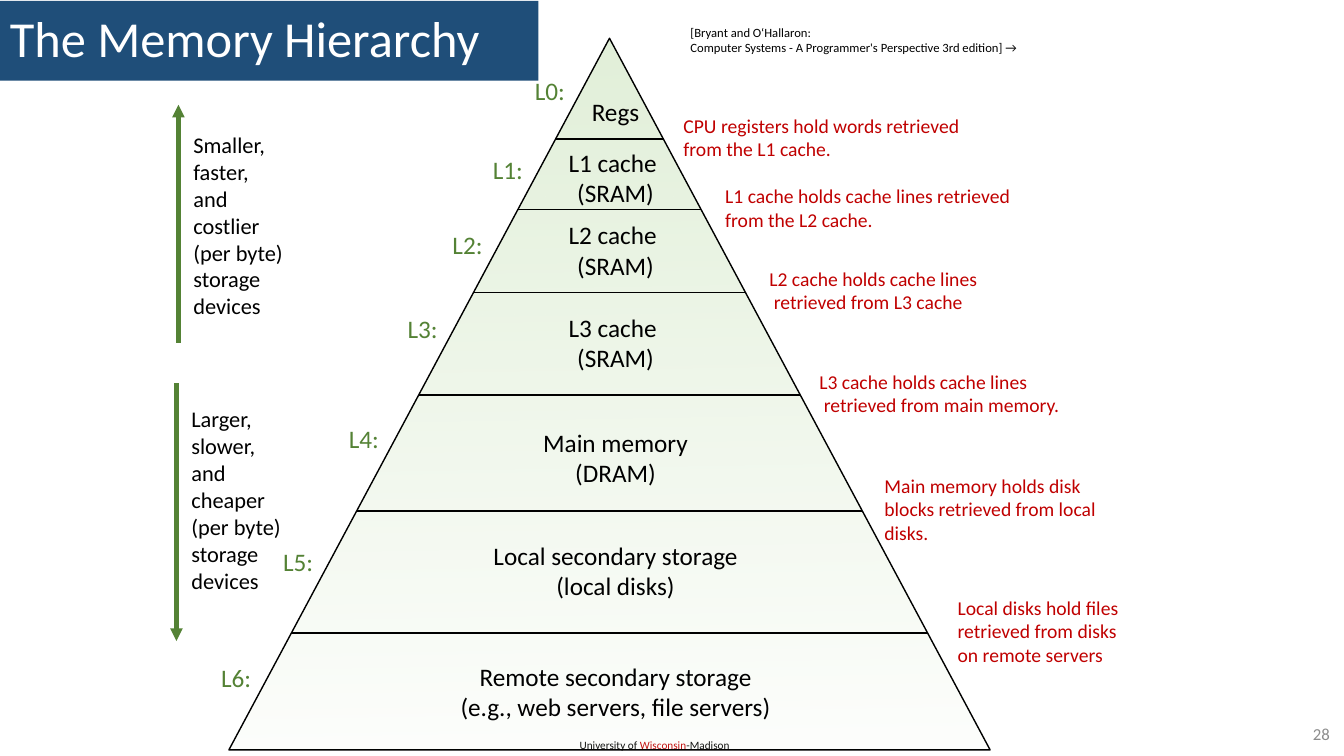
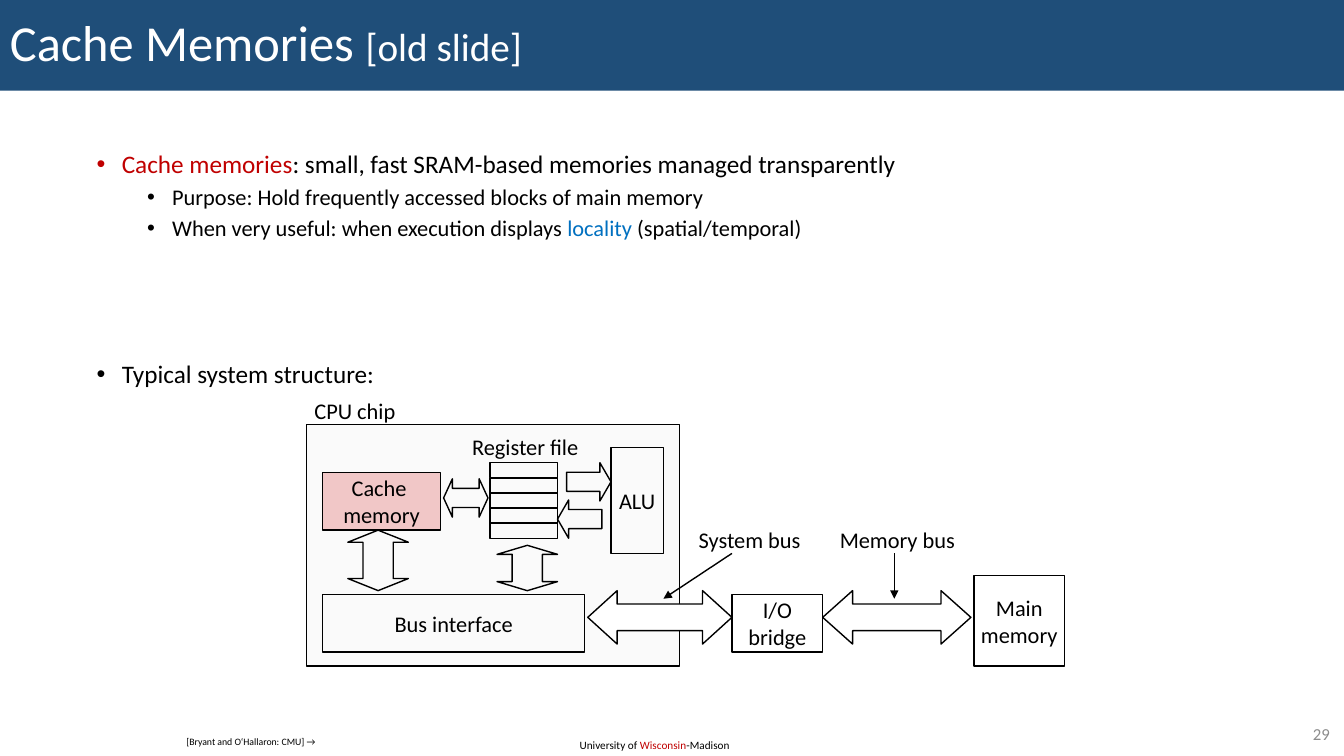
from dataclasses import dataclass

from lxml.etree import SubElement
from pptx import Presentation
from pptx.dml.color import RGBColor
from pptx.enum.shapes import MSO_CONNECTOR, MSO_SHAPE
from pptx.enum.text import MSO_ANCHOR, PP_ALIGN
from pptx.oxml.ns import qn
from pptx.util import Inches, Pt


@dataclass(frozen=True)
class Theme:
    font: str = "Calibri"
    band: str = "1F4E79"
    black: str = "000000"
    white: str = "FFFFFF"
    red: str = "C00000"
    green: str = "548235"
    pale_green: str = "E2F0D9"
    blue: str = "0070C0"
    gray: str = "8C8C8C"
    chip: str = "FAFAFA"
    pink: str = "F1C7C7"
    title: int = 36
    subtitle: int = 28
    large: int = 18
    medium: int = 16
    note: int = 14
    number: int = 12
    source: int = 9
    footer: int = 8
    small_source: int = 7


@dataclass(frozen=True)
class Box:
    left: float
    top: float
    width: float
    height: float

    def inner(self, x, y, width, height):
        return Box(self.left + x, self.top + y, width, height)

    def inches(self):
        return [Inches(n) for n in (self.left, self.top, self.width, self.height)]


@dataclass(frozen=True)
class Level:
    floor: float
    label_y: float
    name_y: float
    name: tuple
    note: tuple = ()
    note_gap: float = 0
    note_width: float = 0


THEME = Theme()
WIDTH, HEIGHT = 13.33, 7.5

LEVELS = [
    Level(1.0, 0.52, 0.73, ("Regs",),
          ("CPU registers hold words retrieved from the L1 cache.",), 0.1, 3.19),
    Level(1.7, 1.3, 1.38, ("L1 cache ", "(SRAM)"),
          ("L1 cache holds cache lines retrieved from the L2 cache.",), 0.14, 3.1),
    Level(2.52, 2.05, 2.1, ("L2 cache ", "(SRAM)"),
          ("L2 cache holds cache lines", " retrieved from L3 cache"), 0.14, 2.88),
    Level(3.54, 2.88, 3.02, ("L3 cache ", "(SRAM)"),
          ("L3 cache holds cache lines", " retrieved from main memory."), 0.09, 3.15),
    Level(4.69, 3.97, 4.16, ("Main memory", "(DRAM)"),
          ("Main memory holds disk blocks retrieved from local disks.",), 0.12, 2.39),
    Level(5.9, 5.19, 5.28, ("Local secondary storage", "(local disks)"),
          ("Local disks hold files retrieved from disks", "on remote servers"), 0.2, 2.26),
    Level(7.06, 6.34, 6.48,
          ("Remote secondary storage", "(e.g., web servers, file servers)")),
]


def rgb(color):
    return RGBColor.from_string(color)


def style(run, size, color):
    run.font.name = THEME.font
    run.font.size = Pt(size)
    run.font.color.rgb = rgb(color)


def fill_paragraph(paragraph, content, size, color):
    if isinstance(content, str):
        paragraph.text = content
        style(paragraph.runs[0], size, color)
        return
    for text, run_size, run_color in content:
        run = paragraph.add_run()
        run.text = text
        style(run, run_size, run_color)


def write(shape, lines, size, color=THEME.black, align=PP_ALIGN.LEFT,
          anchor=MSO_ANCHOR.MIDDLE, wrap=False):
    frame = shape.text_frame
    frame.word_wrap = wrap
    frame.vertical_anchor = anchor
    for index, content in enumerate(lines):
        paragraph = frame.add_paragraph() if index else frame.paragraphs[0]
        paragraph.alignment = align
        fill_paragraph(paragraph, content, size, color)
    return frame


def add_text(slide, box, lines, size, **options):
    return write(slide.shapes.add_textbox(*box.inches()), lines, size, **options)


def add_block(slide, box, kind=MSO_SHAPE.RECTANGLE, fill=None, line=THEME.black,
              adjustments=()):
    block = slide.shapes.add_shape(kind, *box.inches())
    block.shadow.inherit = False
    if fill:
        block.fill.solid()
        block.fill.fore_color.rgb = rgb(fill)
    else:
        block.fill.background()
    if line:
        block.line.color.rgb = rgb(line)
        block.line.width = Pt(1)
    else:
        block.line.fill.background()
    for index, value in enumerate(adjustments):
        block.adjustments[index] = value
    return block


def add_line(slide, box, start, end, color=THEME.black, width=1, arrow=False):
    points = [Inches(n) for x, y in (start, end) for n in (box.left + x, box.top + y)]
    line = slide.shapes.add_connector(MSO_CONNECTOR.STRAIGHT, *points)
    line.line.color.rgb = rgb(color)
    line.line.width = Pt(width)
    properties = line.element.spPr
    if arrow:
        SubElement(properties.find(qn("a:ln")), qn("a:tailEnd"), type="triangle")
    SubElement(properties, qn("a:effectLst"))


def add_bullet(paragraph, indent):
    properties = paragraph._p.get_or_add_pPr()
    properties.set("marL", str(Inches(indent)))
    properties.set("indent", str(Inches(-0.25)))
    SubElement(properties, qn("a:buFont"), typeface="Arial")
    SubElement(properties, qn("a:buChar"), char="•")


def add_slide(deck, band, title, number):
    slide = deck.slides.add_slide(deck.slide_layouts[6])
    add_text(slide, Box(5.65, 7.28, 1.72, 0.24),
             [[("University of ", THEME.footer, THEME.black),
               ("Wisconsin", THEME.footer, THEME.red),
               ("-Madison", THEME.footer, THEME.black)]],
             THEME.footer, anchor=MSO_ANCHOR.TOP, wrap=True)
    heading = write(add_block(slide, band, fill=THEME.band, line=None), [title],
                    THEME.title, color=THEME.white, wrap=True)
    heading.paragraphs[0].line_spacing = 0.9
    add_text(slide, Box(12.53, 7.13, 0.76, 0.29), [str(number)], THEME.number,
             color=THEME.gray, align=PP_ALIGN.RIGHT, wrap=True)
    return slide


def add_source(slide, box, lines, size):
    write(add_block(slide, box, fill=THEME.white, line=None), lines, size,
          anchor=MSO_ANCHOR.TOP, wrap=True)


def add_pyramid(slide, box):
    pyramid = add_block(slide, box, MSO_SHAPE.ISOSCELES_TRIANGLE)
    pyramid.fill.gradient()
    pyramid.fill.gradient_angle = 91
    for stop in pyramid.fill.gradient_stops:
        stop.color.rgb = rgb(THEME.pale_green)
    base_color = next(pyramid.element.spPr.iter(qn("a:srgbClr")))
    SubElement(base_color, qn("a:alpha"), val="7000")

    middle = box.width / 2
    slope = middle / box.height
    for index, level in enumerate(LEVELS):
        half = level.floor * slope
        if level.note:
            add_line(slide, box, (middle - half, level.floor), (middle + half, level.floor))
            height = 0.81 if index > 3 else 0.57
            note = box.inner(middle + half + level.note_gap, level.floor - 0.02 - height / 2,
                             level.note_width, height)
            add_text(slide, note, level.note, THEME.note, color=THEME.red, wrap=True)
        name_height = 0.4 if len(level.name) == 1 else 0.71
        add_text(slide, box.inner(middle - 1.6, level.name_y - name_height / 2, 3.32, name_height),
                 level.name, THEME.large, align=PP_ALIGN.CENTER)
        label_left = middle - level.label_y * slope - 0.56
        add_text(slide, box.inner(label_left, level.label_y - 0.2, 0.51, 0.4),
                 [f"L{index}:"], THEME.large, color=THEME.green)


def add_trend(slide, box, words, text_top, start, end):
    add_line(slide, box, (0, start), (0, end), THEME.green, 3, arrow=True)
    add_text(slide, box.inner(0.05, text_top, 1.1, 1.99), words, THEME.medium)


def build_hierarchy(deck):
    slide = add_slide(deck, Box(0, 0.01, 5.34, 0.79), "The Memory Hierarchy", 28)
    add_pyramid(slide, Box(2.27, 0.38, 7.55, 7.06))
    shared = ["and", "(per byte)", "storage", "devices"]
    add_trend(slide, Box(1.77, 1.04, 1.15, 2.36),
              ["Smaller,", "faster,", shared[0], "costlier", *shared[1:]], 0.2, 2.36, 0)
    add_trend(slide, Box(1.75, 3.8, 1.15, 2.56),
              ["Larger,", "slower,", shared[0], "cheaper", *shared[1:]], 0.16, 0, 2.56)
    add_source(slide, Box(6.75, 0.2, 3.48, 0.4),
               ["[Bryant and O‘Hallaron:",
                "Computer Systems - A Programmer's Perspective 3rd edition] →"], THEME.source)


def add_outline(slide, box):
    large, medium, black = THEME.large, THEME.medium, THEME.black
    items = [
        (0.25, 0, [("Cache memories", large, THEME.red),
                   (": small, fast SRAM-based memories managed transparently", large, black)]),
        (0.75, 5, [("Purpose: Hold frequently accessed blocks of main memory", medium, black)]),
        (0.75, 5, [("When very useful: when execution displays ", medium, black),
                   ("locality", medium, THEME.blue),
                   (" (spatial/temporal)", medium, black)]),
        (0.25, 86, [("Typical system structure:", large, black)]),
    ]
    frame = add_text(slide, box, [runs for _, _, runs in items], large,
                     anchor=MSO_ANCHOR.TOP, wrap=True)
    for paragraph, (indent, space, _) in zip(frame.paragraphs, items):
        paragraph.line_spacing = 0.9
        paragraph.space_before = Pt(space)
        add_bullet(paragraph, indent)


def add_upright_arrow(slide, box, head):
    turned = box.inner((box.width - box.height) / 2, (box.height - box.width) / 2,
                       box.height, box.width)
    arrow = add_block(slide, turned, MSO_SHAPE.LEFT_RIGHT_ARROW, adjustments=(0.5, head))
    arrow.rotation = 90


def add_system(slide, chip):
    add_block(slide, chip, fill=THEME.chip)
    units = [
        ((6.62, 1.5, 0.9, 0.9), ["Main", "memory"], None),
        ((4.22, 1.69, 0.9, 0.57), ["I/O", "bridge"], None),
        ((0.16, 1.69, 2.6, 0.57), ["Bus interface"], None),
        ((3.02, 0.23, 0.52, 1.05), ["ALU"], None),
        ((0.16, 0.48, 1.17, 0.57), ["Cache ", "memory"], THEME.pink),
    ]
    for place, lines, fill in units:
        write(add_block(slide, chip.inner(*place), fill=fill), lines, THEME.medium,
              align=PP_ALIGN.CENTER)
    for row in range(5):
        add_block(slide, chip.inner(1.82, 0.38 + row * 0.15, 0.67, 0.15))

    arrows = [
        (MSO_SHAPE.LEFT_RIGHT_ARROW, (5.12, 1.65, 1.47, 0.53), 0.56, None),
        (MSO_SHAPE.LEFT_RIGHT_ARROW, (2.79, 1.65, 1.43, 0.53), 0.55, THEME.white),
        (MSO_SHAPE.LEFT_RIGHT_ARROW, (1.36, 0.54, 0.44, 0.38), 0.23, None),
        (MSO_SHAPE.RIGHT_ARROW, (2.58, 0.38, 0.44, 0.38), 0.29, None),
        (MSO_SHAPE.LEFT_ARROW, (2.49, 0.75, 0.44, 0.38), 0.29, None),
    ]
    for kind, place, head, fill in arrows:
        add_block(slide, chip.inner(*place), kind, fill, adjustments=(0.5, head))
    for place in ((1.89, 1.2, 0.6, 0.45), (0.41, 1.05, 0.6, 0.6)):
        add_upright_arrow(slide, chip.inner(*place), 0.2)

    captions = [
        ("CPU chip", (-0.03, -0.32, 1.02, 0.37)),
        ("Register file", (1.52, 0.04, 1.3, 0.37)),
        ("System bus", (3.77, 0.96, 1.25, 0.37)),
        ("Memory bus", (5.17, 0.96, 1.38, 0.37)),
    ]
    for caption, place in captions:
        add_text(slide, chip.inner(*place), [caption], THEME.medium, align=PP_ALIGN.CENTER)
    for start_x, end_x in ((4.22, 3.54), (5.83, 5.83)):
        add_line(slide, chip, (start_x, 1.28), (end_x, 1.73), arrow=True)


def build_cache(deck):
    title = [("Cache Memories ", THEME.title, THEME.white),
             ("[old slide]", THEME.subtitle, THEME.white)]
    slide = add_slide(deck, Box(0, 0, WIDTH, 0.9), title, 29)
    add_outline(slide, Box(0.86, 1.46, 9.58, 5.2))
    add_system(slide, Box(3.04, 4.21, 3.7, 2.4))
    add_source(slide, Box(1.75, 7.25, 1.5, 0.22), ["[Bryant and O‘Hallaron: CMU] →"],
               THEME.small_source)


def main():
    deck = Presentation()
    deck.slide_width = Inches(WIDTH)
    deck.slide_height = Inches(HEIGHT)
    build_hierarchy(deck)
    build_cache(deck)
    deck.save("out.pptx")


if __name__ == "__main__":
    main()
